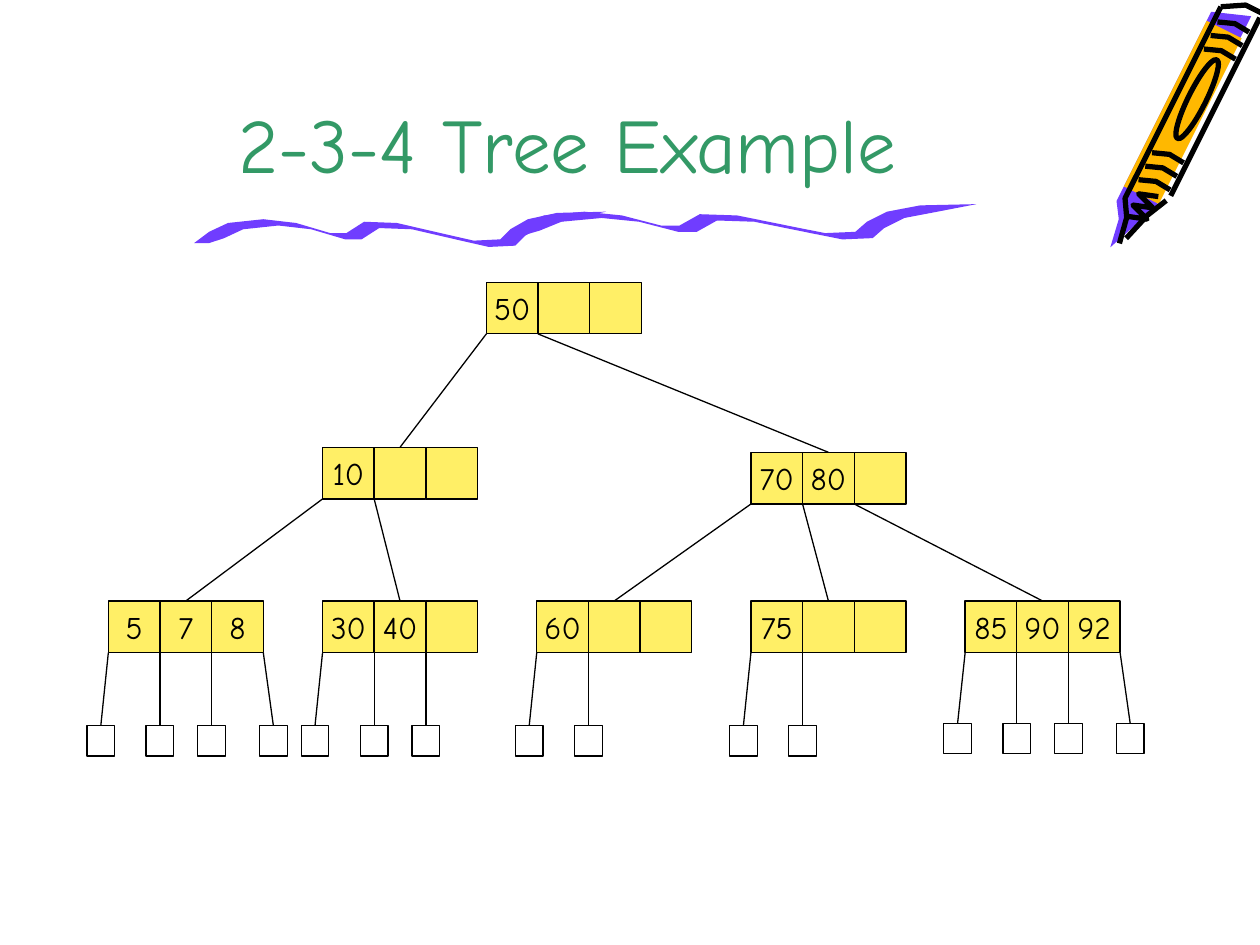
from math import cos, radians, sin

from lxml import etree
from pptx import Presentation
from pptx.dml.color import RGBColor
from pptx.enum.shapes import MSO_CONNECTOR, MSO_SHAPE
from pptx.enum.text import MSO_ANCHOR, PP_ALIGN
from pptx.oxml.ns import qn
from pptx.util import Inches, Pt

RECT, OVAL = MSO_SHAPE.RECTANGLE, MSO_SHAPE.OVAL
STRAIGHT = MSO_CONNECTOR.STRAIGHT
CENTER = PP_ALIGN.CENTER
MIDDLE, BOTTOM = MSO_ANCHOR.MIDDLE, MSO_ANCHOR.BOTTOM
TOP_SITE = 0
FONT = "Comic Neue"
COLORS = {"ink": "000000", "purple": "703DFF", "orange": "FFB800",
          "cell": "FFEF66", "title": "339966"}

NODE_CELLS, CELL = 3, 0.41
LEAF_W, LEAF_H = 0.22, 0.24
LEAF_OFFSETS = [-0.17, 0.3, 0.71, 1.2]
LEAF_TOP = 5.76
TREE = (3.86, 2.24, [50], [
    (2.56, 3.55, [10], [
        (0.86, 4.77, [5, 7, 8], LEAF_TOP),
        (2.56, 4.77, [30, 40], LEAF_TOP)]),
    (5.96, 3.59, [70, 80], [
        (4.26, 4.77, [60], LEAF_TOP),
        (5.96, 4.77, [75], LEAF_TOP),
        (7.66, 4.77, [85, 90, 92], LEAF_TOP - 0.02)])])

WAVE_W, NIB_W, NIB_H = 3.27, 0.12, 0.05
WAVE_CREST = [(0, .25), (.12, .16), (.27, .09), (.55, .06), (.81, .09), (1.08, .17),
              (1.21, .17), (1.35, .08), (1.61, .09), (2, .18), (2.22, .23),
              (2.43, .22), (2.51, .14), (2.65, .06), (2.88, .01), (WAVE_W, 0)]

CRAYON_ANGLE = 63.43
BODY_LEN, BODY_W = 1.47, 0.31
BAND_STARTS = [0.1, 0.22, 0.34, 1.26, 1.38, 1.5]
HATCH_TEETH = 6


def rgb(name):
    """Return the named colour."""
    return RGBColor.from_string(COLORS[name])


def paint(sp, fill=None, width=0):
    """Set a shape's fill and ink outline; leave out whichever is not given."""
    sp.shadow.inherit = False
    if fill:
        sp.fill.solid()
        sp.fill.fore_color.rgb = rgb(fill)
    else:
        sp.fill.background()
    if width:
        sp.line.color.rgb = rgb("ink")
        sp.line.width = Pt(width)
    else:
        sp.line.fill.background()


def add_path(slide, points, fill=None, width=0):
    """Add a closed filled outline, or an open ink stroke when there is no fill."""
    pts = [(Inches(x), Inches(y)) for x, y in points]
    builder = slide.shapes.build_freeform(*pts[0])
    builder.add_line_segments(pts[1:], close=bool(fill))
    paint(builder.convert_to_shape(), fill, width)


def add_preset(slide, kind, x, y, w, h, fill=None, width=0.75):
    """Add an outlined preset shape."""
    sp = slide.shapes.add_shape(kind, Inches(x), Inches(y), Inches(w), Inches(h))
    paint(sp, fill, width)
    return sp


def set_text(tf, text, size, color, anchor, wrap=True):
    """Write one centred line into a text frame."""
    tf.word_wrap = wrap
    tf.vertical_anchor = anchor
    p = tf.paragraphs[0]
    p.text = text
    p.alignment = CENTER
    p.font.name = FONT
    p.font.size = Pt(size)
    p.font.color.rgb = rgb(color)


def add_crayon(slide, x, y):
    """Draw a tilted crayon whose body starts at its lower left corner x, y."""
    c, s = cos(radians(CRAYON_ANGLE)), sin(radians(CRAYON_ANGLE))

    def tilt(points):
        """Turn (along, across) pairs into slide positions."""
        return [(x + a * c + b * s, y - a * s + b * c) for a, b in points]

    tip = [(-0.23, 0.22), (-0.48, 0.12), (-0.25, 0.08)]
    barrel = [(-0.13, 0), (1.55, 0), (1.66, 0.3), (-0.05, 0.3)]
    body = [(0, 0), (BODY_LEN, 0), (BODY_LEN, BODY_W), (0, BODY_W)]
    add_path(slide, tilt(tip + barrel), "purple")
    add_path(slide, tilt(body), "orange")

    left_edge = [(-0.42, 0.17), (-0.21, 0.13), (-0.08, 0.05), (1.62, 0.05)]
    cap = [(1.62, 0.05), (1.72, 0.22), (1.72, 0.36)]
    right_edge = [(0.1, 0.365), (1.68, 0.365)]
    tip_edge = [(0.05, 0.35), (-0.12, 0.27), (-0.36, 0.2)]
    hatch = [(-0.2 + 0.05 * i, 0.28 if i % 2 else 0.13) for i in range(HATCH_TEETH)]
    bands = [[(a, 0.08), (a + 0.05, 0.21), (a + 0.04, 0.34)] for a in BAND_STARTS]
    for stroke in [left_edge, cap, right_edge, tip_edge, hatch] + bands:
        add_path(slide, tilt(stroke), width=3)

    label_len, label_w = 0.7, 0.14
    [(cx, cy)] = tilt([(0.88, 0.21)])
    label = add_preset(slide, OVAL, cx - label_len / 2, cy - label_w / 2,
                       label_len, label_w, width=3)
    label.rotation = -CRAYON_ANGLE


def add_wave(slide, x, y, w):
    """Draw a wavy pen stroke: its crest, then the crest shifted by the nib."""
    heel = (NIB_W, WAVE_CREST[0][1])
    trough = [(px + NIB_W, py + NIB_H) for px, py in WAVE_CREST[1:-1]]
    outline = WAVE_CREST + trough[::-1] + [heel]
    add_path(slide, [(x + px * w / WAVE_W, y + py) for px, py in outline], "purple")


def add_title(slide, x, y, w, h):
    """Add the slide title at the bottom of its box."""
    s = slide.shapes.add_textbox(Inches(x), Inches(y), Inches(w), Inches(h))
    set_text(s.text_frame, "2-3-4 Tree Example", 44, "title", BOTTOM)


def add_edge(slide, x, y, target):
    """Join a point to the middle of the target's top side."""
    line = slide.shapes.add_connector(
        STRAIGHT, Inches(x), Inches(y), Inches(x), Inches(y))
    line.end_connect(target, TOP_SITE)
    line.line.color.rgb = rgb("ink")
    line.line.width = Pt(0.75)
    etree.SubElement(line._element.spPr, qn("a:effectLst"))


def add_node(slide, x, y, keys, below):
    """Draw a node over its child nodes, or over leaves at the height below."""
    cells = [add_preset(slide, RECT, x + i * CELL, y, CELL, CELL, "cell")
             for i in range(NODE_CELLS)]
    for cell, key in zip(cells, keys):
        set_text(cell.text_frame, str(key), 18, "ink", MIDDLE, wrap=False)
    if isinstance(below, list):
        targets = [add_node(slide, *child) for child in below]
    else:
        targets = [add_preset(slide, RECT, x + dx, below, LEAF_W, LEAF_H)
                   for dx in LEAF_OFFSETS[:len(keys) + 1]]
    for i, target in enumerate(targets):
        add_edge(slide, x + i * CELL, y + CELL, target)
    return cells[NODE_CELLS // 2]


def main():
    """Build and save the slide."""
    prs = Presentation()
    prs.slide_width, prs.slide_height = Inches(10), Inches(7.5)
    slide = prs.slides.add_slide(prs.slide_layouts[6])
    add_crayon(slide, 8.92, 1.48)
    add_wave(slide, 1.54, 1.68, WAVE_W)
    add_wave(slide, 4.01, 1.62, 3.74)
    add_title(slide, 0.75, 0, 7.51, 1.55)
    add_node(slide, *TREE)
    prs.save("out.pptx")


if __name__ == "__main__":
    main()
